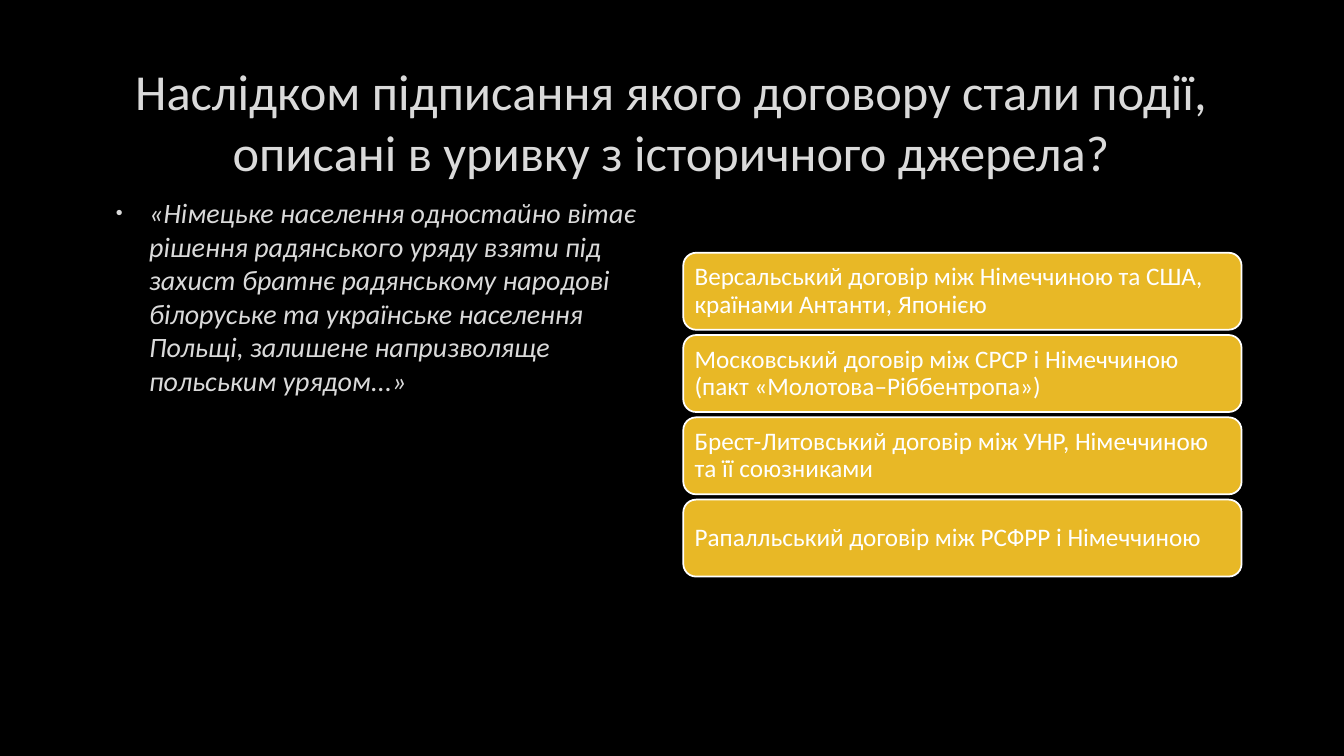
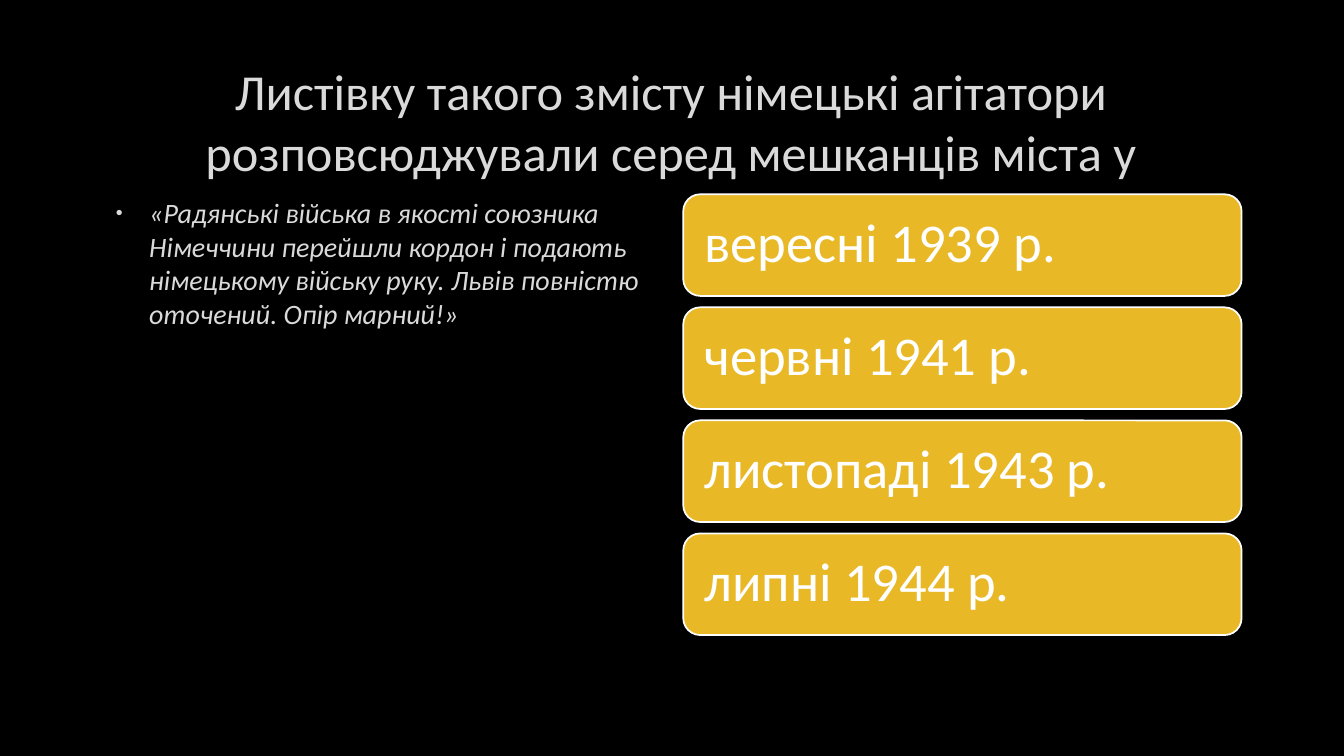
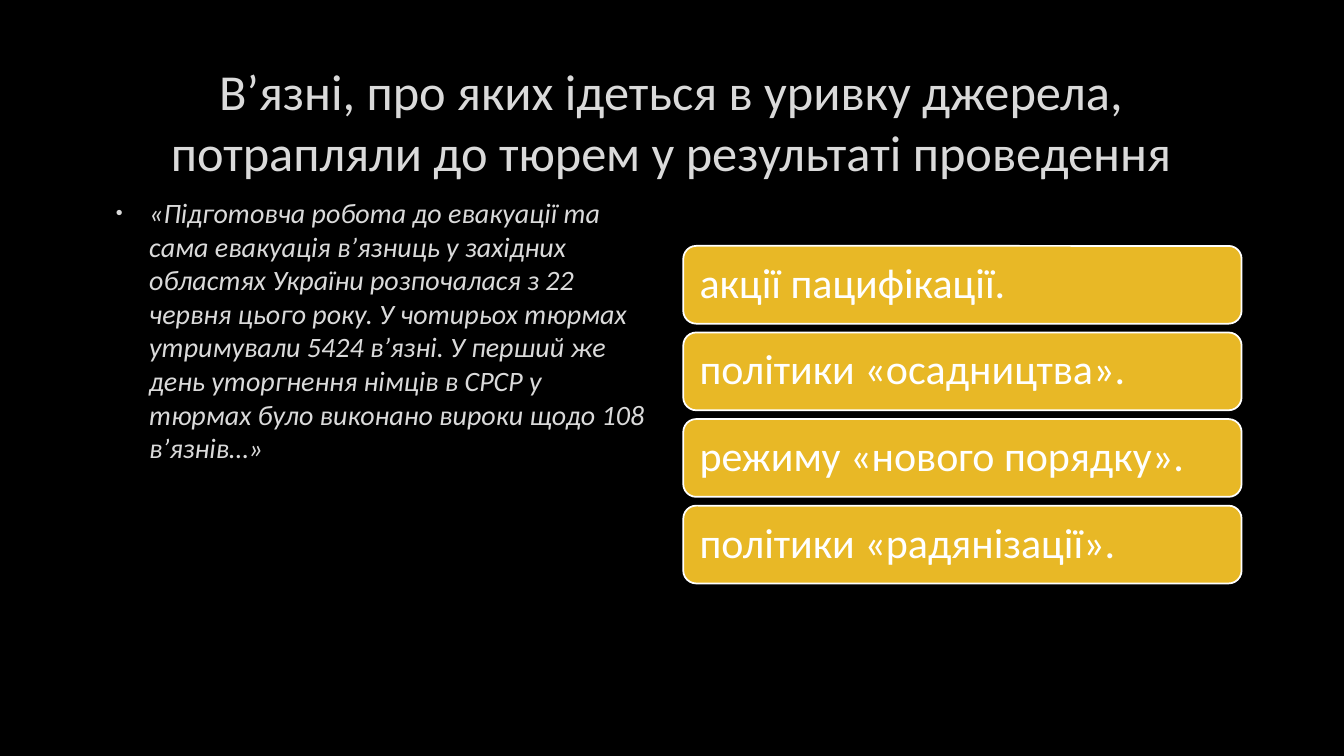
"""Build three history quiz slides with a source excerpt and four answers each."""
from dataclasses import dataclass

from lxml import etree
from pptx import Presentation
from pptx.dml.color import RGBColor
from pptx.enum import shapes, text as text_enum
from pptx.oxml import ns
from pptx.util import Cm, Pt

QUESTIONS = [
    {
        "title": "Наслідком підписання якого договору стали події, описані в уривку з історичного джерела?",
        "excerpt": "«Німецьке населення одностайно вітає рішення радянського уряду взяти під захист "
                   "братнє радянському народові білоруське та українське населення Польщі, "
                   "залишене напризволяще польським урядом...»",
        "answers": [
            "Версальський договір між Німеччиною та США, країнами Антанти, Японією",
            "Московський договір між СРСР і Німеччиною (пакт «Молотова–Ріббентропа»)",
            "Брест-Литовський договір між УНР, Німеччиною та її союзниками",
            "Рапалльський договір між РСФРР і Німеччиною",
        ],
        "answer_size": 18,
        "answer_height": 1.94,
    },
    {
        "title": "Листівку такого змісту німецькі агітатори розповсюджували серед мешканців міста у",
        "excerpt": "«Радянські війська в якості союзника Німеччини перейшли кордон і подають "
                   "німецькому війську руку. Львів повністю оточений. Опір марний!»",
        "answers": ["вересні 1939 р.", "червні 1941 р.", "листопаді 1943 р.", "липні 1944 р."],
        "answer_size": 39,
        "answer_height": 2.56,
    },
    {
        "title": "В’язні, про яких ідеться в уривку джерела, потрапляли до тюрем у результаті проведення",
        "excerpt": "«Підготовча робота до евакуації та сама евакуація в’язниць у західних областях "
                   "України розпочалася з 22 червня цього року. У чотирьох тюрмах утримували "
                   "5424 в’язні. У перший же день уторгнення німців в СРСР у тюрмах було виконано "
                   "вироки щодо 108 в’язнів…»",
        "answers": [
            "акції пацифікації.",
            "політики «осадництва».",
            "режиму «нового порядку».",
            "політики «радянізації».",
        ],
        "answer_size": 30,
        "answer_height": 1.96,
    },
]


@dataclass(frozen=True)
class Theme:
    """Colours, font and type sizes of the deck."""
    background: RGBColor = RGBColor.from_string("000000")
    body: RGBColor = RGBColor.from_string("DADADA")
    answer_fill: RGBColor = RGBColor.from_string("E8B826")
    answer_text: RGBColor = RGBColor.from_string("FFFFFF")
    font: str = "Calibri"
    title_size: int = 36
    excerpt_size: int = 20


THEME = Theme()
TITLE_BOX = (2.54, 1.7, 28.75, 2.69)
EXCERPT_BOX = (2.54, 4.8, 14.05, 11.28)
ANSWER_LEFT, ANSWER_WIDTH, ANSWER_MIDDLE = 17.22, 14.07, 10.45
CM_PER_POINT = 2.54 / 72
GAP_EM, INSET_EM = 0.21, 0.3


def add_bullet(paragraph):
    """Give a paragraph a small hanging bullet."""
    properties = paragraph._p.get_or_add_pPr()
    properties.set("marL", str(Cm(0.97)))
    properties.set("indent", str(Cm(-0.84)))
    colour = etree.SubElement(properties, ns.qn("a:buClr"))
    etree.SubElement(colour, ns.qn("a:srgbClr"), val=str(THEME.body))
    etree.SubElement(properties, ns.qn("a:buSzPct"), val="70000")
    etree.SubElement(properties, ns.qn("a:buFont"), typeface="Arial")
    etree.SubElement(properties, ns.qn("a:buChar"), char="•")


def write_text(shape, text, *, size, color=THEME.body, italic=False, bullet=False,
               align=text_enum.PP_ALIGN.LEFT, anchor=text_enum.MSO_ANCHOR.MIDDLE,
               line_spacing=1.0, inset=None):
    """Fill a shape with one formatted paragraph."""
    frame = shape.text_frame
    frame.word_wrap = True
    frame.auto_size = text_enum.MSO_AUTO_SIZE.NONE
    frame.vertical_anchor = anchor
    if inset is not None:
        frame.margin_left = frame.margin_right = inset
        frame.margin_top = frame.margin_bottom = inset
    paragraph = frame.paragraphs[0]
    paragraph.text = text
    if bullet:
        add_bullet(paragraph)
    paragraph.alignment = align
    paragraph.line_spacing = line_spacing
    font = paragraph.runs[0].font
    font.name, font.size, font.italic = THEME.font, Pt(size), italic
    font.color.rgb = color


def add_answers(slide, answers, size, height):
    """Stack the answer boxes evenly around their common middle."""
    em = size * CM_PER_POINT
    pitch = height + GAP_EM * em
    top = ANSWER_MIDDLE - (pitch * (len(answers) - 1) + height) / 2
    for index, answer in enumerate(answers):
        box = slide.shapes.add_shape(
            shapes.MSO_SHAPE.ROUNDED_RECTANGLE, Cm(ANSWER_LEFT), Cm(top + index * pitch),
            Cm(ANSWER_WIDTH), Cm(height))
        box.shadow.inherit = False
        box.fill.solid()
        box.fill.fore_color.rgb = THEME.answer_fill
        box.line.color.rgb = THEME.answer_text
        box.line.width = Pt(1.25)
        write_text(box, answer, size=size, color=THEME.answer_text, line_spacing=0.9,
                   inset=Cm(INSET_EM * em))


def add_question(presentation, question):
    """Add one question slide."""
    slide = presentation.slides.add_slide(presentation.slide_layouts[5])
    title = slide.shapes.title
    title.left, title.top, title.width, title.height = map(Cm, TITLE_BOX)
    write_text(title, question["title"], size=THEME.title_size,
               align=text_enum.PP_ALIGN.CENTER)
    excerpt = slide.shapes.add_textbox(*map(Cm, EXCERPT_BOX))
    write_text(excerpt, question["excerpt"], size=THEME.excerpt_size, italic=True, bullet=True,
               anchor=text_enum.MSO_ANCHOR.TOP)
    add_answers(slide, question["answers"], question["answer_size"], question["answer_height"])


def main():
    """Create and save the presentation."""
    presentation = Presentation()
    presentation.slide_width, presentation.slide_height = Cm(33.87), Cm(19.05)
    background = presentation.slide_master.background.fill
    background.solid()
    background.fore_color.rgb = THEME.background
    for question in QUESTIONS:
        add_question(presentation, question)
    presentation.save("out.pptx")


if __name__ == "__main__":
    main()
